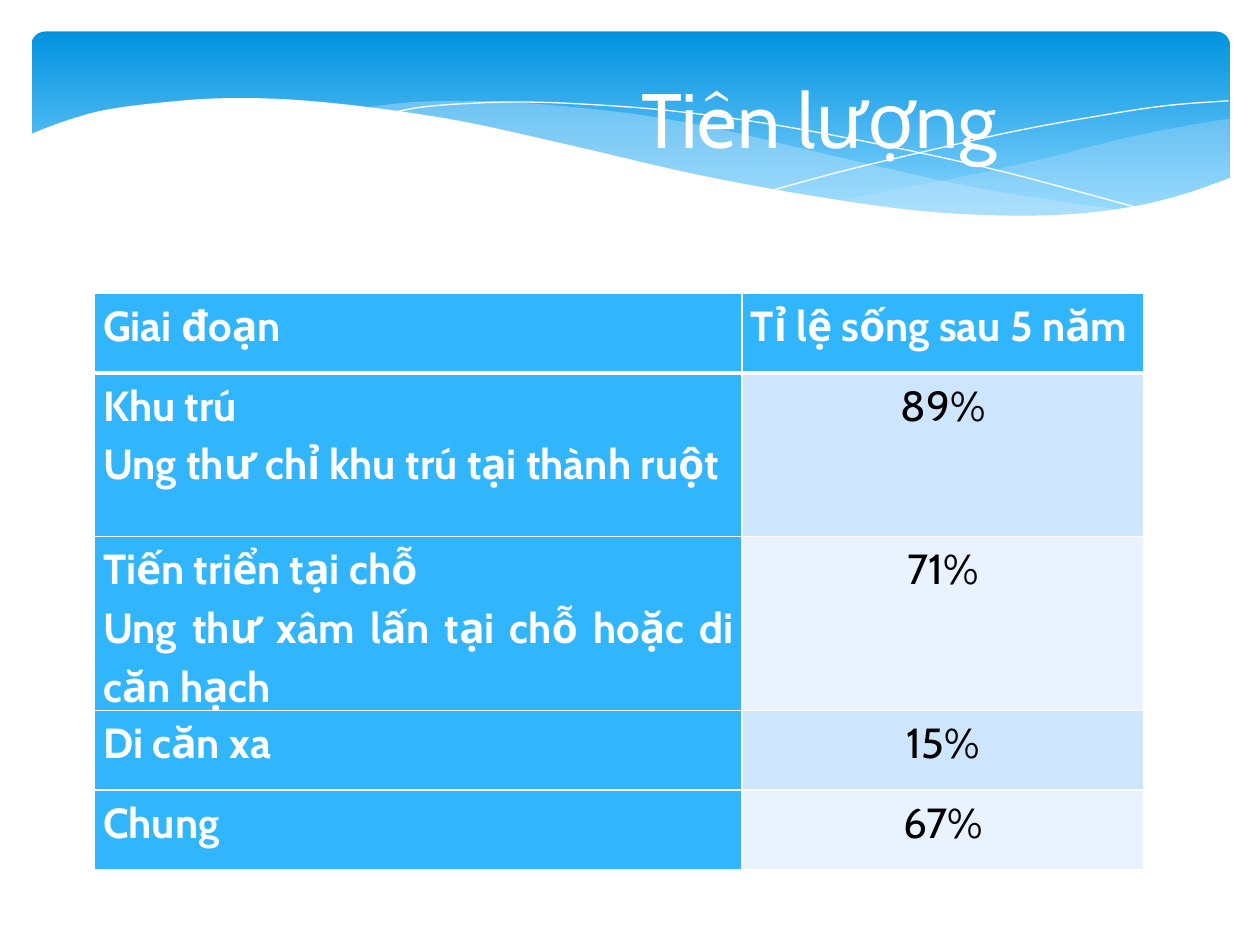
from lxml.etree import SubElement
from pptx import Presentation
from pptx.dml.color import RGBColor
from pptx.enum.shapes import MSO_SHAPE
from pptx.enum.text import MSO_ANCHOR, PP_ALIGN
from pptx.oxml.ns import qn
from pptx.util import Inches, Pt

FONT = "Cabin"
WHITE = RGBColor(0xFF, 0xFF, 0xFF)
BLACK = RGBColor(0, 0, 0)
DEEP_BLUE = RGBColor(0x02, 0x93, 0xE0)
LIGHT_BLUE = RGBColor(0x83, 0xD3, 0xFE)
WAVE_BLUE = RGBColor(0xC6, 0xE7, 0xFC)
HEADER_BLUE = RGBColor(0x31, 0xB6, 0xFD)
BANDS = (RGBColor(0xCE, 0xE5, 0xFE), RGBColor(0xE8, 0xF3, 0xFF))

RIGHT_WAVE_TOP = [(9.76, 0.94), (9.35, 1.01), (8.91, 1.1), (8.32, 1.25),
                  (7.79, 1.37), (7.29, 1.47), (6.61, 1.6)]
RIGHT_WAVE_BOTTOM = [(6.61, 1.6), (7.05, 1.65), (7.57, 1.7), (8.14, 1.72),
                     (8.63, 1.7), (9.05, 1.63), (9.42, 1.54), (9.76, 1.41)]
LONG_WAVE_TOP = [(8.93, 1.67), (8.37, 1.59), (7.75, 1.49), (7.06, 1.34),
                 (6.29, 1.16), (5.69, 1.02), (5.14, 0.92), (4.65, 0.86),
                 (4.2, 0.82), (3.8, 0.8), (3.28, 0.81), (2.86, 0.86)]
LONG_WAVE_BOTTOM = [(2.86, 0.86), (3.42, 0.94), (4.04, 1.06), (4.91, 1.26),
                    (5.66, 1.43), (6.34, 1.56), (6.95, 1.65), (7.48, 1.7),
                    (7.96, 1.73), (8.48, 1.72), (8.93, 1.67)]
FALLING_LINE = [(3.09, 0.9), (3.35, 0.85), (3.74, 0.82), (4.16, 0.81),
                (4.69, 0.83), (5.33, 0.88), (6.08, 0.98), (6.95, 1.14),
                (7.95, 1.36), (9.07, 1.66)]
RISING_LINE = [(6.13, 1.51), (6.72, 1.35), (7.48, 1.17), (8.06, 1.04),
               (8.66, 0.93), (9.24, 0.84), (9.75, 0.8)]
WHITE_WAVE = [(9.77, 1.41), (9.4, 1.54), (8.99, 1.64), (8.5, 1.7),
              (7.93, 1.71), (7.26, 1.67), (6.48, 1.56), (5.55, 1.39),
              (4.47, 1.14), (3.65, 0.96), (2.92, 0.85), (2.3, 0.79),
              (1.77, 0.78), (1.32, 0.81), (0.85, 0.87), (0.52, 0.96),
              (0.23, 1.07)]

COLUMN_WIDTHS = (5.14, 3.19)
ROW_HEIGHTS = (0.63, 1.3, 1.3, 0.63, 0.63)
ROWS = (
    ("Giai đoạn", "Tỉ lệ sống sau 5 năm"),
    ("Khu trú\nUng thư chỉ khu trú tại thành ruột", "89%"),
    ("Tiến triển tại chỗ\nUng thư xâm lấn tại chỗ hoặc di căn hạch", "71%"),
    ("Di căn xa", "15%"),
    ("Chung", "67%"),
)


def smooth_curve(knots, steps=5):
    """Return points of a Catmull-Rom curve through the knots."""
    padded = [knots[0], *knots, knots[-1]]
    points = [knots[0]]
    for a, b, c, d in zip(padded, padded[1:], padded[2:], padded[3:]):
        for step in range(1, steps + 1):
            t = step / steps
            points.append(tuple(
                (2 * q + (r - p) * t + (2 * p - 5 * q + 4 * r - s) * t ** 2
                 + (3 * q - p - 3 * r + s) * t ** 3) / 2
                for p, q, r, s in zip(a, b, c, d)))
    return points


def add_outline(slide, points, close):
    """Draw a freeform through points given in inches."""
    places = [(Inches(x), Inches(y)) for x, y in points]
    builder = slide.shapes.build_freeform(*places[0])
    builder.add_line_segments(places[1:], close=close)
    shape = builder.convert_to_shape()
    shape.shadow.inherit = False
    return shape


def add_wave(slide, points, color, opacity=100):
    """Add a filled wave with the given opacity in percent."""
    shape = add_outline(slide, points, True)
    shape.fill.solid()
    shape.fill.fore_color.rgb = color
    shape.line.fill.background()
    if opacity < 100:
        color_element = shape._element.spPr.find(qn("a:solidFill"))[0]
        SubElement(color_element, qn("a:alpha"), val=str(opacity * 1000))


def add_hairline(slide, knots):
    """Add a thin white curve."""
    shape = add_outline(slide, smooth_curve(knots), False)
    shape.fill.background()
    shape.line.color.rgb = WHITE
    shape.line.width = Pt(0)


def add_banner(slide):
    """Add the rounded gradient panel."""
    shape = slide.shapes.add_shape(MSO_SHAPE.ROUNDED_RECTANGLE, Inches(0.25),
                                   Inches(0.25), Inches(9.51), Inches(1.56))
    shape.adjustments[0] = 0.07
    shape.shadow.inherit = False
    shape.line.fill.background()
    shape.fill.gradient()
    shape.fill.gradient_angle = 270
    stops = zip(shape.fill.gradient_stops, (0, 0.9), (DEEP_BLUE, LIGHT_BLUE))
    for stop, position, color in stops:
        stop.position = position
        stop.color.rgb = color


def style_text(paragraph, size, color, alignment, bold=False):
    """Set the font and alignment of a paragraph."""
    paragraph.alignment = alignment
    font = paragraph.font
    font.name, font.size, font.bold = FONT, Pt(size), bold
    font.color.rgb = color


def add_title(slide, text):
    """Add the slide title."""
    box = slide.shapes.add_textbox(Inches(2), Inches(0.25), Inches(9), Inches(1.37))
    frame = box.text_frame
    frame.word_wrap = True
    frame.vertical_anchor = MSO_ANCHOR.MIDDLE
    frame.text = text
    style_text(frame.paragraphs[0], 44, WHITE, PP_ALIGN.CENTER)


def set_borders(cell, is_header, below_header):
    """Draw white cell borders, thick under the header row."""
    widths = {"a:lnL": 1, "a:lnR": 1, "a:lnT": 3 if below_header else 1,
              "a:lnB": 3 if is_header else 1}
    properties = cell._tc.get_or_add_tcPr()
    for tag, width in widths.items():
        line = SubElement(properties, qn(tag), w=str(Pt(width)))
        fill = SubElement(line, qn("a:solidFill"))
        SubElement(fill, qn("a:srgbClr"), val=str(WHITE))


def fill_cell(cell, text, row, column):
    """Write and style one table cell."""
    is_heading = row == 0 or column == 0
    set_borders(cell, row == 0, row == 1)
    cell.fill.solid()
    cell.fill.fore_color.rgb = HEADER_BLUE if is_heading else BANDS[(row - 1) % 2]
    cell.margin_left = cell.margin_right = Inches(0.07)
    cell.margin_top = cell.margin_bottom = 0
    cell.text = text
    for paragraph in cell.text_frame.paragraphs:
        paragraph.line_spacing = 1.15
        style_text(paragraph, 24, WHITE if is_heading else BLACK,
                   PP_ALIGN.JUSTIFY if is_heading else PP_ALIGN.CENTER, is_heading)


def add_survival_table(slide):
    """Add the table of five-year survival by stage."""
    table = slide.shapes.add_table(
        len(ROWS), len(COLUMN_WIDTHS), Inches(0.75), Inches(2.33),
        Inches(sum(COLUMN_WIDTHS)), Inches(sum(ROW_HEIGHTS))).table
    for column, width in zip(table.columns, COLUMN_WIDTHS):
        column.width = Inches(width)
    for row, height in zip(table.rows, ROW_HEIGHTS):
        row.height = Inches(height)
    for row, texts in enumerate(ROWS):
        for column, text in enumerate(texts):
            fill_cell(table.cell(row, column), text, row, column)


def main():
    """Build and save the slide."""
    presentation = Presentation()
    presentation.slide_width, presentation.slide_height = Inches(10), Inches(7.5)
    slide = presentation.slides.add_slide(presentation.slide_layouts[6])
    add_banner(slide)
    for top, bottom, opacity in ((RIGHT_WAVE_TOP, RIGHT_WAVE_BOTTOM, 29),
                                 (LONG_WAVE_TOP, LONG_WAVE_BOTTOM, 40)):
        add_wave(slide, smooth_curve(top) + smooth_curve(bottom), WAVE_BLUE, opacity)
    add_hairline(slide, FALLING_LINE)
    add_hairline(slide, RISING_LINE)
    add_wave(slide, smooth_curve(WHITE_WAVE) + [(0.23, 2.24), (9.77, 2.24)], WHITE)
    add_title(slide, "Tiên lượng")
    add_survival_table(slide)
    presentation.save("out.pptx")


if __name__ == "__main__":
    main()
